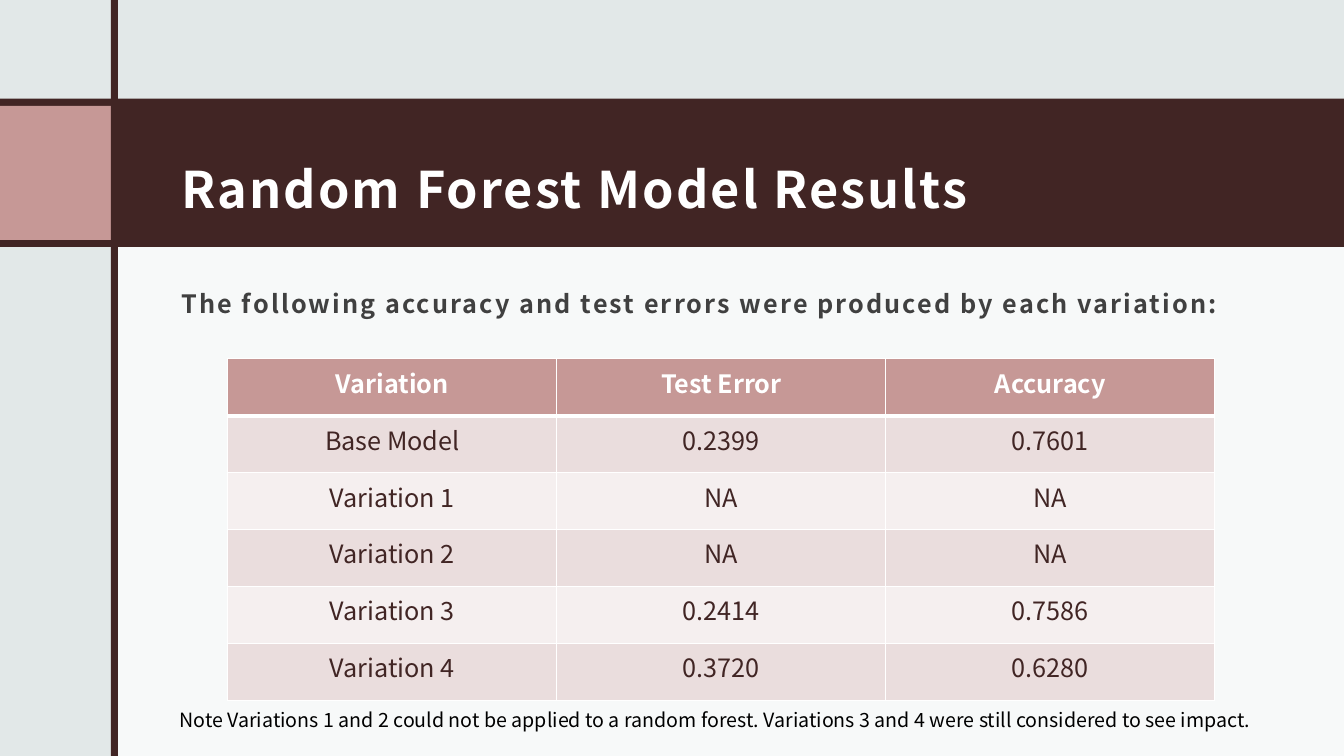
from pptx import Presentation
from pptx.dml.color import RGBColor
from pptx.enum.shapes import MSO_SHAPE
from pptx.enum.text import MSO_ANCHOR, PP_ALIGN
from pptx.oxml.ns import qn
from pptx.util import Inches, Pt
from lxml.etree import SubElement

MIST = RGBColor(0xE2, 0xE8, 0xE8)
WHITE = RGBColor(0xFF, 0xFF, 0xFF)
BLACK = RGBColor(0x00, 0x00, 0x00)
GRAY = RGBColor(0x40, 0x40, 0x40)
MAROON = RGBColor(0x41, 0x25, 0x24)
ROSE = RGBColor(0xC6, 0x98, 0x96)
BLUSH = RGBColor(0xEA, 0xDD, 0xDD)
PALE = RGBColor(0xF5, 0xEF, 0xEF)

RESULTS = [
    ("Variation", "Test Error", "Accuracy"),
    ("Base Model", "0.2399", "0.7601"),
    ("Variation 1", "NA", "NA"),
    ("Variation 2", "NA", "NA"),
    ("Variation 3", "0.2414", "0.7586"),
    ("Variation 4", "0.3720", "0.6280"),
]


class SlideBuilder:
    font = "Noto Sans CJK JP"

    def __init__(self, prs):
        self.s = prs.slides.add_slide(prs.slide_layouts[5])
        fill = self.s.background.fill
        fill.solid()
        fill.fore_color.rgb = MIST

    def rect(self, x, y, w, h, color, opacity=100):
        sp = self.s.shapes.add_shape(
            MSO_SHAPE.RECTANGLE, Inches(x), Inches(y), Inches(w), Inches(h))
        sp.shadow.inherit = False
        sp.line.fill.background()
        sp.fill.solid()
        sp.fill.fore_color.rgb = color
        if opacity < 100:
            clr = sp.fill._xPr.find(".//" + qn("a:srgbClr"))
            SubElement(clr, qn("a:alpha"), val=str(opacity * 1000))

    def style(self, p, size, color, bold=False, spacing=0):
        for r in p.runs:
            r.font.name = self.font
            r.font.size = Pt(size)
            r.font.bold = bold
            r.font.color.rgb = color
            if spacing:
                r.font._element.set("spc", str(int(spacing * 100)))

    def fill_text(self, sp, text, size, color, bold=False, spacing=0,
                  line=1.0, anchor=MSO_ANCHOR.TOP, inset=None):
        tf = sp.text_frame
        tf.text = text
        tf.word_wrap = True
        tf.vertical_anchor = anchor
        if inset:
            tf.margin_left = tf.margin_top = tf.margin_right = Inches(inset)
            tf.margin_bottom = Inches(0.1)
        p = tf.paragraphs[0]
        p.alignment = PP_ALIGN.LEFT
        p.line_spacing = line
        p.space_before = Pt(0)
        self.style(p, size, color, bold, spacing)

    def title(self, x, y, w, h, text, size, color, **look):
        sp = self.s.shapes.title
        sp.left, sp.top, sp.width, sp.height = map(Inches, (x, y, w, h))
        self.fill_text(sp, text, size, color, **look)
        sp.element.getparent().append(sp.element)

    def text(self, x, y, w, h, text, size, color, **look):
        sp = self.s.shapes.add_textbox(Inches(x), Inches(y), Inches(w), Inches(h))
        self.fill_text(sp, text, size, color, **look)

    def borders(self, cell, widths):
        tc_pr = cell._tc.get_or_add_tcPr()
        for i, (side, width) in enumerate(widths.items()):
            ln = tc_pr.makeelement(qn(f"a:ln{side}"), {"w": str(Pt(width))})
            fill = SubElement(ln, qn("a:solidFill"))
            SubElement(fill, qn("a:srgbClr"), val=str(WHITE))
            tc_pr.insert(i, ln)

    def table(self, x, y, w, h, rows):
        tbl = self.s.shapes.add_table(
            len(rows), len(rows[0]), Inches(x), Inches(y), Inches(w), Inches(h)).table
        for i, row in enumerate(rows):
            header = i == 0
            for j, value in enumerate(row):
                cell = tbl.cell(i, j)
                cell.text_frame.text = value
                p = cell.text_frame.paragraphs[0]
                p.alignment = PP_ALIGN.CENTER
                self.style(p, 18, WHITE if header else MAROON, bold=header)
                cell.fill.solid()
                cell.fill.fore_color.rgb = ROSE if header else BLUSH if i % 2 else PALE
                self.borders(cell, {"L": 1, "R": 1, "T": 3 if i == 1 else 1,
                                    "B": 3 if header else 1})


def main():
    prs = Presentation()
    prs.slide_width, prs.slide_height = Inches(13.33), Inches(7.5)
    b = SlideBuilder(prs)
    b.rect(0, 0, 13.33, 7.5, MIST)
    b.rect(1.14, 2.33, 12.2, 5.17, WHITE, opacity=75)
    b.rect(0, 0.98, 13.33, 1.47, MAROON)
    b.title(1.68, 1.14, 10.95, 1.13, "Random Forest Model Results", 36, WHITE,
            bold=True, spacing=1.5, line=1.5, anchor=MSO_ANCHOR.MIDDLE, inset=0.12)
    b.rect(0, 1.05, 1.1, 1.33, ROSE)
    b.rect(1.1, 0, 0.07, 7.5, MAROON)
    b.text(1.68, 2.62, 10.87, 1.19,
           "The following accuracy and test errors were produced by each variation:",
           18, GRAY, bold=True, spacing=1.5, line=1.4, inset=0.12)
    b.table(2.26, 3.56, 9.79, 3.39, RESULTS)
    b.text(1.68, 6.97, 11.22, 0.57,
           "Note Variations 1 and 2 could not be applied to a random forest. "
           "Variations 3 and 4 were still considered to see impact.", 14, BLACK)
    prs.save("out.pptx")


if __name__ == "__main__":
    main()
